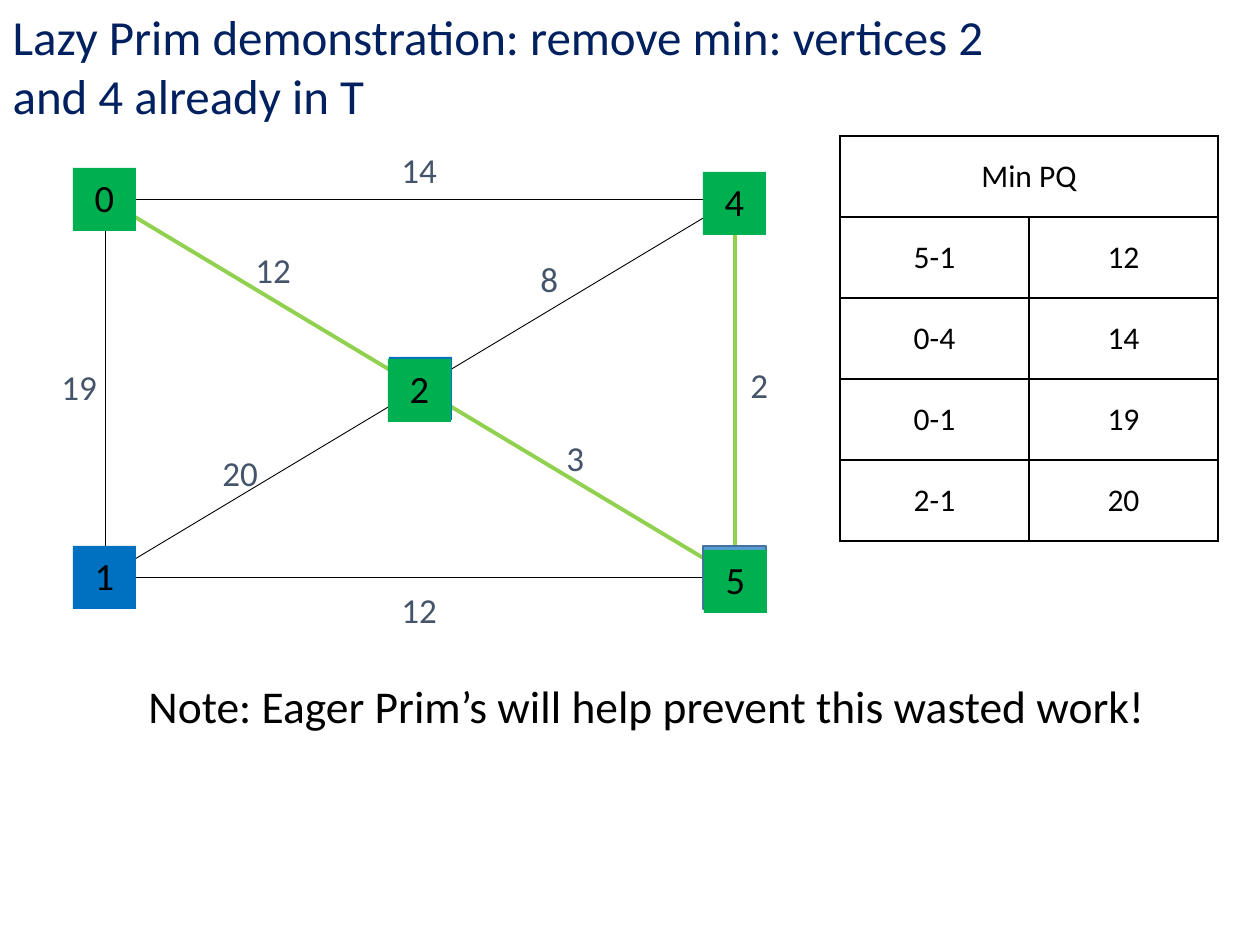
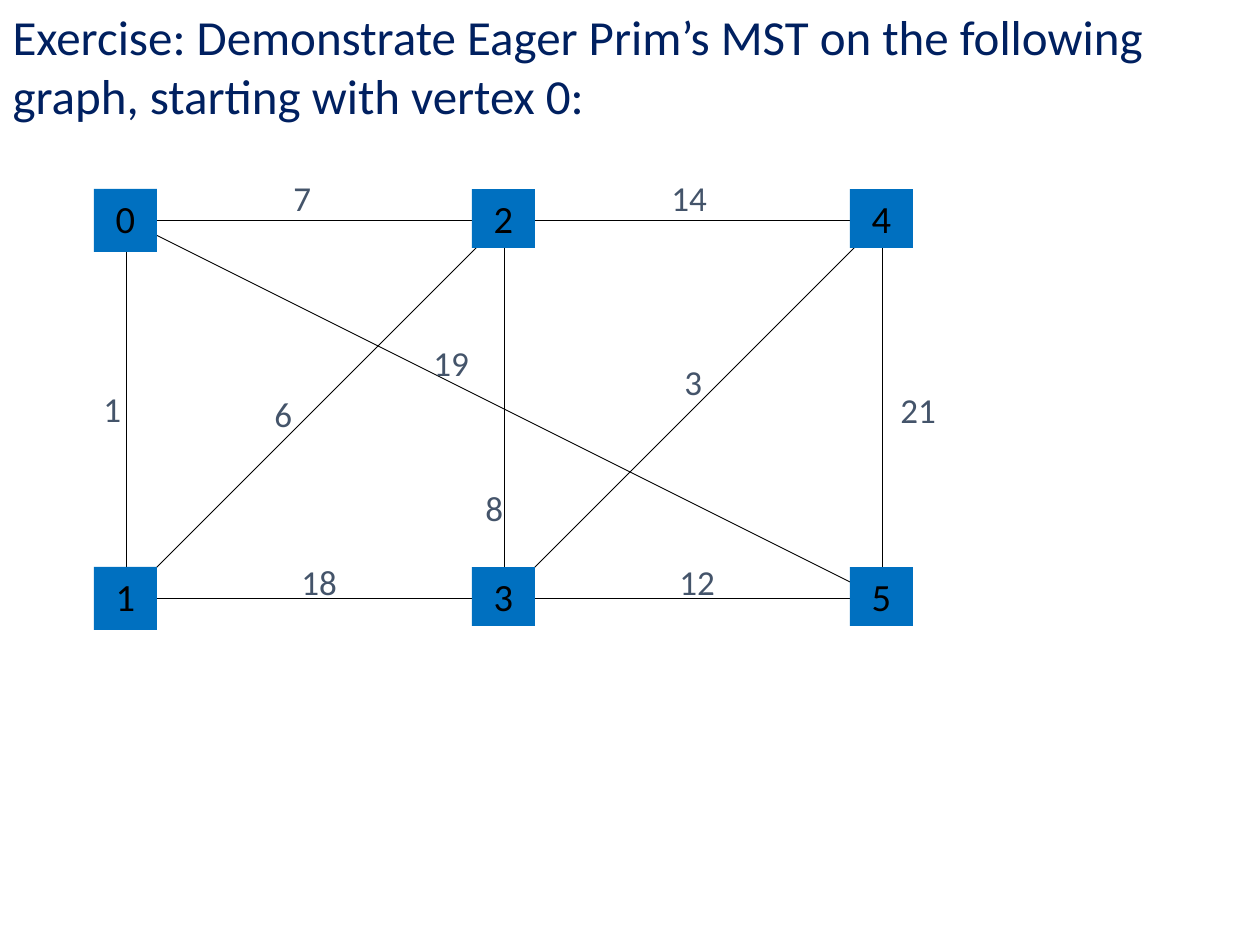
import pptx
import pptx.util
import pptx.dml.color
import pptx.enum.shapes
import pptx.enum.text
import pptx.oxml.ns
import lxml.etree
from collections import namedtuple
from dataclasses import dataclass

PX_PER_INCH = 126
Box = namedtuple("Box", "x y w h")
# A vertex sits at a fraction (col, row) of the graph box; dx, dy nudge its tile.
Vertex = namedtuple("Vertex", "col row color height dx dy", defaults=(63, 0, 0))
# label_x and label_y place the weight relative to the graph box.
Edge = namedtuple("Edge", "start end weight label_x label_y in_tree", defaults=(False,))
# A tile that shows behind a vertex, placed relative to the graph box.
BackTile = namedtuple("BackTile", "x y fill line")


@dataclass(frozen=True)
class Theme:
    font: str = "Calibri"
    title: str = "002060"
    text: str = "000000"
    weight: str = "44546A"
    vertex: str = "0070C0"
    visited: str = "00B050"
    tree_edge: str = "92D050"
    back: str = "5B9BD5"
    back_line: str = "43739E"
    title_pt: int = 28
    note_pt: int = 26
    vertex_pt: int = 22
    weight_pt: int = 20
    table_pt: int = 18
    edge_pt: float = 0.5
    tree_edge_pt: float = 2.25
    border_pt: int = 1


THEME = Theme()
TILE = 63
CENTER_X, CENTER_Y = 32, 31
LABEL_W, LABEL_H = 67, 55


def px(n):
    return pptx.util.Emu(round(n * 914400 / PX_PER_INCH))


def rgb(color):
    return pptx.dml.color.RGBColor.from_string(color)


def write(tf, text, size, color, centered=False):
    align = pptx.enum.text.PP_ALIGN
    tf.word_wrap = True
    tf.vertical_anchor = pptx.enum.text.MSO_ANCHOR.TOP
    p = tf.paragraphs[0]
    p.text = text
    p.alignment = align.CENTER if centered else align.LEFT
    p.font.name = THEME.font
    p.font.size = pptx.util.Pt(size)
    p.font.color.rgb = rgb(color)


def add_text(slide, box, text, size, color):
    sp = slide.shapes.add_textbox(*map(px, box))
    write(sp.text_frame, text, size, color)


def add_title_slide(prs, title, width):
    slide = prs.slides.add_slide(prs.slide_layouts.get_by_name("Title Only"))
    sp = slide.shapes.title
    sp.left, sp.top, sp.width, sp.height = map(px, (0, 0, width, 131))
    sp.text_frame.auto_size = pptx.enum.text.MSO_AUTO_SIZE.NONE
    write(sp.text_frame, title, THEME.title_pt, THEME.title)
    return slide


def add_tile(slide, x, y, height, fill, line=None):
    sp = slide.shapes.add_shape(pptx.enum.shapes.MSO_SHAPE.RECTANGLE,
                                px(x), px(y), px(TILE), px(height))
    sp.shadow.inherit = False
    sp.fill.solid()
    sp.fill.fore_color.rgb = rgb(fill)
    if line:
        sp.line.color.rgb = rgb(line)
        sp.line.width = pptx.util.Pt(THEME.border_pt)
    else:
        sp.line.fill.background()
    return sp


def add_edge(slide, start, end, in_tree):
    line = slide.shapes.add_connector(pptx.enum.shapes.MSO_CONNECTOR.STRAIGHT,
                                      *map(px, start + end))
    line.line.color.rgb = rgb(THEME.tree_edge if in_tree else THEME.text)
    line.line.width = pptx.util.Pt(THEME.tree_edge_pt if in_tree else THEME.edge_pt)
    props = line._element.spPr
    lxml.etree.SubElement(props, pptx.oxml.ns.qn("a:effectLst"))


def add_graph(slide, box, vertices, edges, back_tiles=()):
    corners = {name: (box.x + round(v.col * box.w), box.y + round(v.row * box.h))
               for name, v in vertices.items()}
    centers = {name: (x + CENTER_X, y + CENTER_Y) for name, (x, y) in corners.items()}

    # Edges run between centres, behind the tiles
    for edge in edges:
        add_edge(slide, centers[edge.start], centers[edge.end], edge.in_tree)
    for tile in back_tiles:
        add_tile(slide, box.x + tile.x, box.y + tile.y, TILE, tile.fill, tile.line)

    # Vertices
    for name, v in vertices.items():
        x, y = corners[name]
        sp = add_tile(slide, x + v.dx, y + v.dy, v.height, v.color)
        write(sp.text_frame, str(name), THEME.vertex_pt, THEME.text, centered=True)

    # Weights
    for edge in edges:
        label = Box(box.x + edge.label_x, box.y + edge.label_y, LABEL_W, LABEL_H)
        add_text(slide, label, str(edge.weight), THEME.weight_pt, THEME.weight)


def set_borders(cell):
    qn = pptx.oxml.ns.qn
    props = cell._tc.get_or_add_tcPr()
    for i, side in enumerate(("lnL", "lnR", "lnT", "lnB")):
        ln = lxml.etree.Element(qn("a:" + side), w=str(pptx.util.Pt(THEME.border_pt)))
        fill = lxml.etree.SubElement(ln, qn("a:solidFill"))
        lxml.etree.SubElement(fill, qn("a:srgbClr"), val=THEME.text)
        props.insert(i, ln)


def add_queue(slide, box, header, entries):
    rows = [(header, "")] + entries
    table = slide.shapes.add_table(len(rows), 2, *map(px, box)).table
    table.first_row = table.horz_banding = False
    for r, row in enumerate(rows):
        table.rows[r].height = px(box.h // len(rows))
        for c, text in enumerate(row):
            cell = table.cell(r, c)
            cell.fill.background()
            set_borders(cell)
            if text:
                write(cell.text_frame, text, THEME.table_pt, THEME.text, centered=True)
            cell.vertical_anchor = pptx.enum.text.MSO_ANCHOR.MIDDLE
    table.cell(0, 0).merge(table.cell(0, 1))


def build_lazy_prim(prs):
    slide = add_title_slide(
        prs, "Lazy Prim demonstration: remove min: vertices 2 and 4 already in T", 1081)
    add_queue(slide, Box(840, 136, 378, 405), "Min PQ",
              [("5-1", "12"), ("0-4", "14"), ("0-1", "19"), ("2-1", "20")])
    vertices = {
        0: Vertex(0, 0, THEME.visited),
        1: Vertex(0, 1, THEME.vertex),
        2: Vertex(0.5, 0.5, THEME.visited, dy=2),
        4: Vertex(1, 0, THEME.visited, dy=4),
        5: Vertex(1, 1, THEME.visited, dx=1, dy=4),
    }
    edges = [
        Edge(0, 4, 14, 316, -26),
        Edge(1, 5, 12, 316, 414),
        Edge(0, 1, 19, -24, 191),
        Edge(4, 5, 2, 665, 189, True),
        Edge(0, 2, 12, 170, 74, True),
        Edge(2, 5, 3, 481, 262, True),
        Edge(1, 2, 20, 137, 277),
        Edge(2, 4, 8, 455, 83),
    ]
    back_tiles = [BackTile(316, 189, THEME.vertex, None),
                  BackTile(630, 378, THEME.back, THEME.back_line)]
    add_graph(slide, Box(73, 168, 630, 378), vertices, edges, back_tiles)
    add_text(slide, Box(136, 672, 1040, 68),
             "Note: Eager Prim’s will help prevent this wasted work!",
             THEME.note_pt, THEME.text)


def build_exercise(prs):
    slide = add_title_slide(
        prs, "Exercise: Demonstrate Eager Prim’s MST on the following graph, "
             "starting with vertex 0:", 1155)
    # Vertices are numbered down each of three columns
    vertices = {n: Vertex(n // 2 / 2, n % 2, THEME.vertex, TILE if n < 2 else 59)
                for n in range(6)}
    edges = [
        Edge(0, 5, 19, 327, 146),
        Edge(3, 5, 12, 573, 365),
        Edge(3, 4, 3, 578, 165),
        Edge(2, 4, 14, 565, -19),
        Edge(4, 5, 21, 794, 193),
        Edge(1, 3, 18, 195, 365),
        Edge(1, 2, 6, 168, 197),
        Edge(0, 2, 7, 187, -19),
        Edge(2, 3, 8, 379, 291),
        Edge(0, 1, 1, -3, 192),
    ]
    add_graph(slide, Box(94, 189, 756, 378), vertices, edges)


def main():
    prs = pptx.Presentation()
    prs.slide_width, prs.slide_height = px(1260), px(945)
    build_lazy_prim(prs)
    build_exercise(prs)
    prs.save("out.pptx")


if __name__ == "__main__":
    main()
